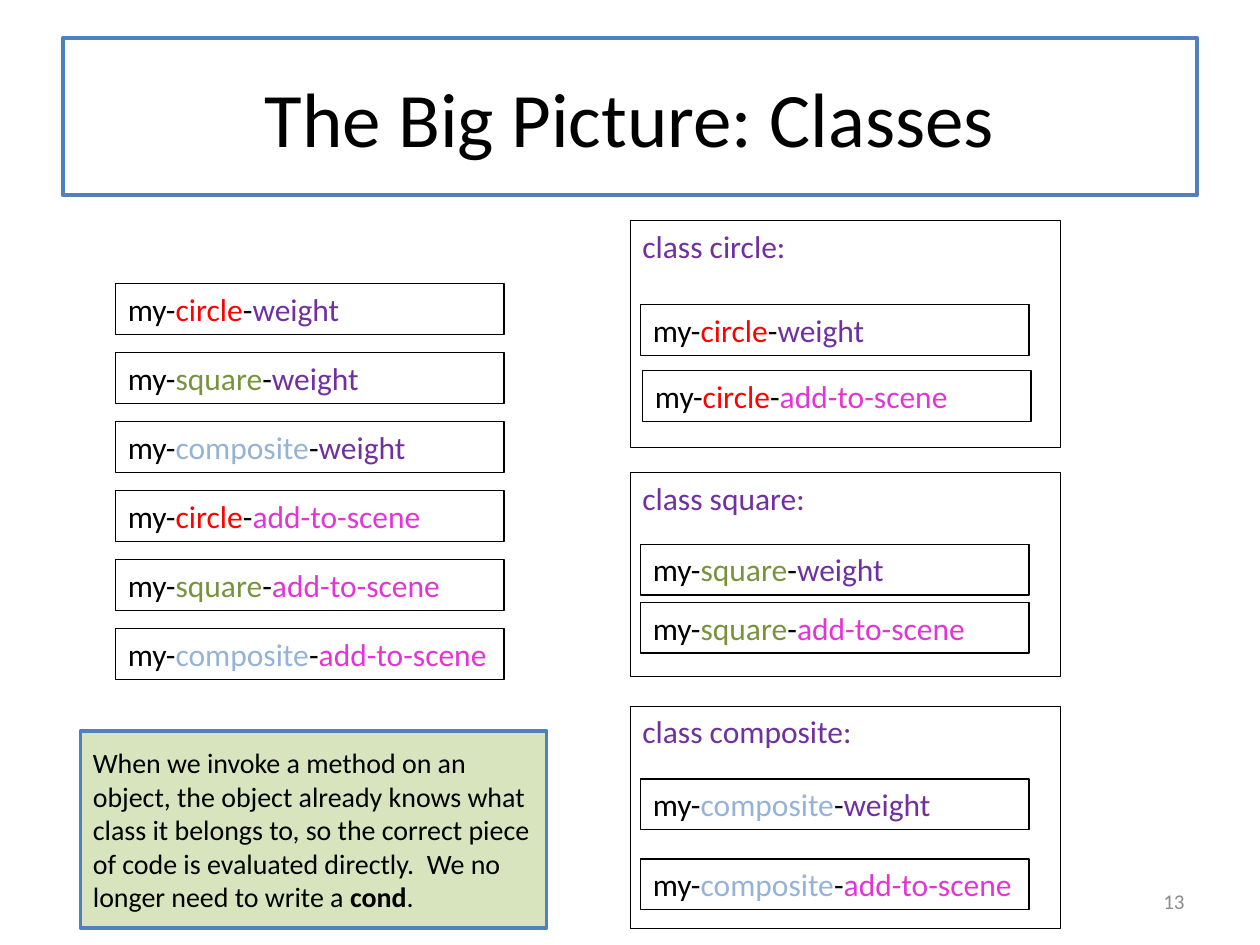
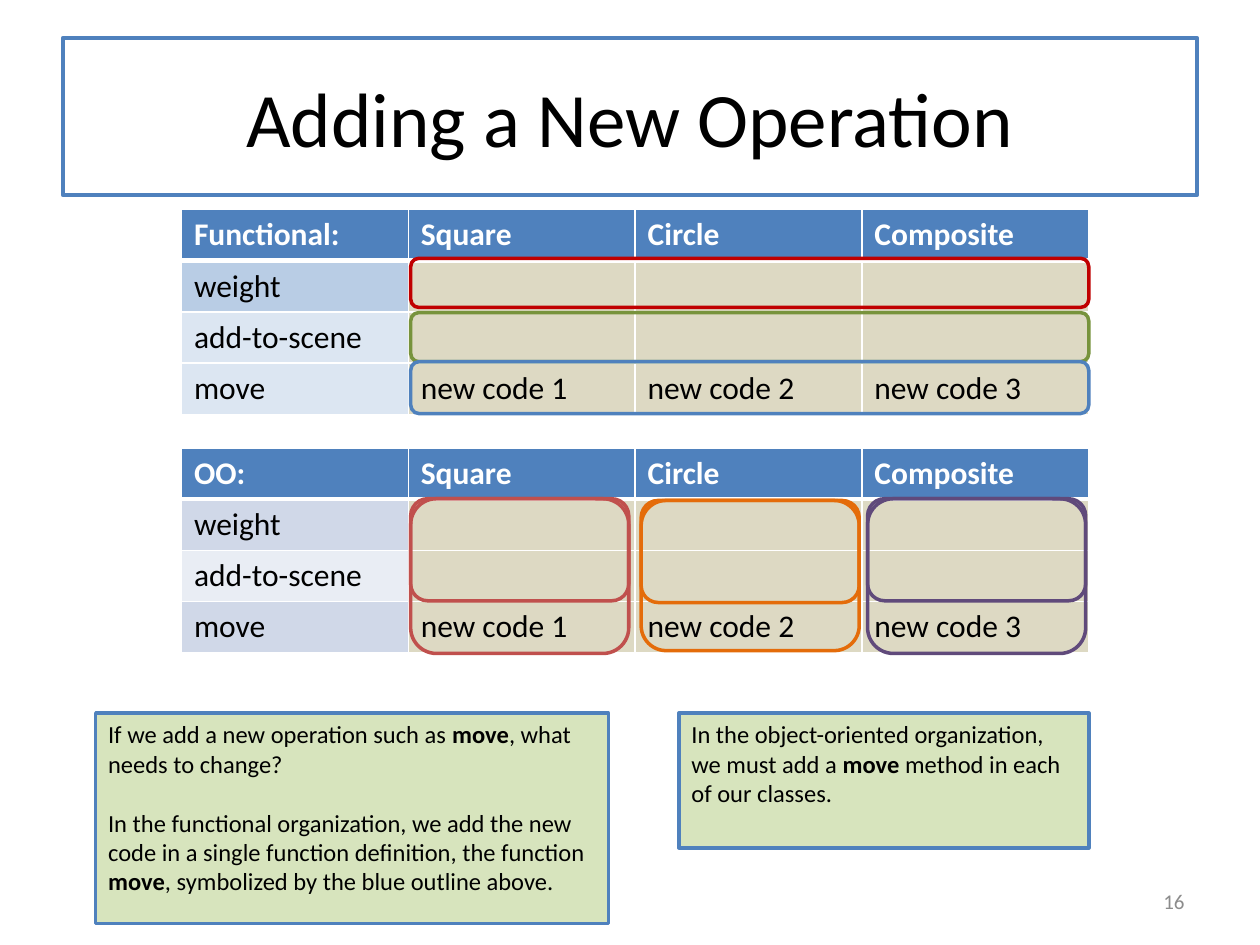
from pptx import Presentation
from pptx.util import Pt
from pptx.dml.color import RGBColor
from pptx.enum.shapes import MSO_SHAPE as SHAPE
from pptx.enum.text import MSO_ANCHOR as ANCHOR, PP_ALIGN as ALIGN
from pptx.oxml import parse_xml
from pptx.oxml.ns import nsdecls

# Shared colours and font
FONT = "Calibri"
BLACK = RGBColor(0x00, 0x00, 0x00)
WHITE = RGBColor(0xFF, 0xFF, 0xFF)
GREY = RGBColor(0x8C, 0x8C, 0x8C)
BLUE = RGBColor(0x4F, 0x81, 0xBD)
RED = RGBColor(0xFF, 0x00, 0x00)
DARK_RED = RGBColor(0xC0, 0x00, 0x00)
BRICK = RGBColor(0xC0, 0x50, 0x4D)
ORANGE = RGBColor(0xE4, 0x6C, 0x0A)
GREEN = RGBColor(0x77, 0x93, 0x3C)
PALE_GREEN = RGBColor(0xD7, 0xE4, 0xBD)
LIGHT_BLUE = RGBColor(0x95, 0xB3, 0xD7)
PURPLE = RGBColor(0x70, 0x30, 0xA0)
DARK_PURPLE = RGBColor(0x60, 0x4A, 0x7B)
PINK = RGBColor(0xE3, 0x35, 0xD7)
TAN = RGBColor(0xDD, 0xD9, 0xC3)
BAND_1 = RGBColor(0xB9, 0xCD, 0xE5)
BAND_2 = RGBColor(0xDC, 0xE6, 0xF2)
BAND_3 = RGBColor(0xD0, 0xD8, 0xE8)
BAND_4 = RGBColor(0xE9, 0xED, 0xF4)

# Content of the classes slide
SHAPE_COLORS = {"circle": RED, "square": GREEN, "composite": LIGHT_BLUE}
OPERATION_COLORS = {"weight": PURPLE, "add-to-scene": PINK}
CLASSES = [  # name, top, height, (left, top) of each method
    ("circle", 126, 129.6, [(366, 174), (367.2, 211.7)]),
    ("square", 270, 116.6, [(366, 311), (366, 344.2)]),
    ("composite", 403.5, 127.2, [(366, 445.2), (366, 490.8)]),
]
# Notes: text between asterisks is bold
CLASS_NOTE = ["When we invoke a method on an object, the object already knows "
              "what class it belongs to, so the correct piece of code is "
              "evaluated directly.  We no longer need to write a *cond*."]

# Content of the operations slide
HEADINGS = ["Square", "Circle", "Composite"]
ROWS = [("weight", "", "", ""), ("add-to-scene", "", "", ""),
        ("move", "new code 1", "new code 2", "new code 3")]
TABLES = [  # corner, top, row label fills
    ("Functional:", 119.7, [BAND_1, BAND_2, BAND_2]),
    ("OO:", 255.9, [BAND_3, BAND_4, BAND_3]),
]
ROW_OUTLINES = [(147.6, 28.1, DARK_RED), (178.6, 28.1, GREEN), (206.6, 29.8, BLUE)]
COLUMN_OUTLINES = [  # left, top, full height, colour
    (234.7, 285, 88.4, BRICK), (366.4, 286, 85.8, ORANGE),
    (495.8, 285, 88.4, DARK_PURPLE)]
FUNCTIONAL_NOTE = [
    "If we add a new operation such as *move*, what needs to change?",
    "In the functional organization, we add the new code in a single function "
    "definition, the function *move*, symbolized by the blue outline above."]
OO_NOTE = ["In the object-oriented organization, we must add a *move* method "
           "in each of our classes."]

prs = Presentation()
prs.slide_width, prs.slide_height = Pt(720), Pt(540)


def add_runs(p, runs, size):
    for text, color, bold in runs:
        r = p.add_run()
        r.text = text
        r.font.name, r.font.size, r.font.bold = FONT, Pt(size), bold
        r.font.color.rgb = color


def add_box(slide, x, y, w, h, line=BLACK, width=0.75, fill=None, kind=SHAPE.RECTANGLE):
    sp = slide.shapes.add_shape(kind, Pt(x), Pt(y), Pt(w), Pt(h))
    sp.shadow.inherit = False
    if fill is None:
        sp.fill.background()
    else:
        sp.fill.solid()
        sp.fill.fore_color.rgb = fill
    sp.line.color.rgb, sp.line.width = line, Pt(width)
    return sp


def write(sp, runs, size, align=ALIGN.LEFT, anchor=ANCHOR.TOP):
    tf = sp.text_frame
    tf.word_wrap, tf.vertical_anchor = True, anchor
    p = tf.paragraphs[0]
    p.alignment = align
    add_runs(p, runs, size)


def add_label(slide, x, y, w, h, runs, size, **layout):
    write(slide.shapes.add_textbox(Pt(x), Pt(y), Pt(w), Pt(h)), runs, size, **layout)


def add_slide(title, number):
    slide = prs.slides.add_slide(prs.slide_layouts[6])
    write(add_box(slide, 36, 21.6, 648, 90, BLUE, 2.25, WHITE),
          [(title, BLACK, False)], 44, ALIGN.CENTER, ANCHOR.MIDDLE)
    add_label(slide, 516, 500.5, 168, 28.8, [(number, GREY, False)], 12,
              align=ALIGN.RIGHT, anchor=ANCHOR.MIDDLE)
    return slide


def add_note(slide, x, y, w, h, paragraphs, size, anchor=ANCHOR.TOP):
    tf = add_box(slide, x, y, w, h, BLUE, 2, PALE_GREEN).text_frame
    tf.word_wrap, tf.vertical_anchor = True, anchor
    for i, text in enumerate(paragraphs):
        p = tf.add_paragraph() if i else tf.paragraphs[0]
        p.alignment = ALIGN.LEFT
        p.space_before = Pt(size * 1.2 if i else 0)
        add_runs(p, [(part, BLACK, k % 2 == 1)
                     for k, part in enumerate(text.split("*"))], size)


def add_method(slide, x, y, name, operation):
    write(add_box(slide, x, y, 222, 29),
          [("my-", BLACK, False), (name, SHAPE_COLORS[name], False),
           ("-", BLACK, False), (operation, OPERATION_COLORS[operation], False)], 18)


def set_borders(cell, top, bottom):
    tcPr = cell._tc.get_or_add_tcPr()
    for side, width in (("L", 1), ("R", 1), ("T", top), ("B", bottom)):
        tcPr.append(parse_xml(
            f'<a:ln{side} {nsdecls("a")} w="{Pt(width)}"><a:solidFill>'
            f'<a:srgbClr val="{WHITE}"/></a:solidFill></a:ln{side}>'))


def add_grid(slide, corner, top, label_fills):
    rows = [(corner, *HEADINGS)] + ROWS
    table = slide.shapes.add_table(len(rows), 4, Pt(103.7), Pt(top),
                                   Pt(518.4), Pt(117.2)).table
    for i, row in enumerate(rows):
        table.rows[i].height = Pt(29.3)
        for j, text in enumerate(row):
            cell = table.cell(i, j)
            set_borders(cell, 3 if i == 1 else 1, 3 if i == 0 else 1)
            cell.fill.solid()
            cell.fill.fore_color.rgb = (BLUE if i == 0 else
                                        TAN if j else label_fills[i - 1])
            p = cell.text_frame.paragraphs[0]
            p.font.size = Pt(18)
            if text:
                add_runs(p, [(text, BLACK if i else WHITE, i == 0)], 18)


# Classes slide: loose methods on the left, grouped by class on the right
slide = add_slide("The Big Picture: Classes", "13")
methods = [(name, op) for op in OPERATION_COLORS for name in SHAPE_COLORS]
for i, (name, operation) in enumerate(methods):
    add_method(slide, 66, 162 + i * 39.45, name, operation)
for name, top, height, places in CLASSES:
    add_box(slide, 360, top, 246, height, width=0.5)
    add_label(slide, 360, top, 198, 29, [(f"class {name}:", PURPLE, False)], 18)
    for (x, y), operation in zip(places, OPERATION_COLORS):
        add_method(slide, x, y, name, operation)
add_note(slide, 46, 417.8, 266.4, 112.4, CLASS_NOTE, 16, ANCHOR.MIDDLE)

# Operations slide: outlines follow rows above and columns below
slide = add_slide("Adding a New Operation", "16")
for grid in TABLES:
    add_grid(slide, *grid)
for top, height, color in ROW_OUTLINES:
    add_box(slide, 234.7, top, 387.5, height, color, 2, kind=SHAPE.ROUNDED_RECTANGLE)
for left, top, full_height, color in COLUMN_OUTLINES:
    for height in (58.3, full_height):
        add_box(slide, left, top, 124.6, height, color, 2, kind=SHAPE.ROUNDED_RECTANGLE)
add_note(slide, 54.7, 407.5, 293, 120.3, FUNCTIONAL_NOTE, 14)
add_note(slide, 388, 407.5, 234.2, 77, OO_NOTE, 14)

prs.save("out.pptx")
